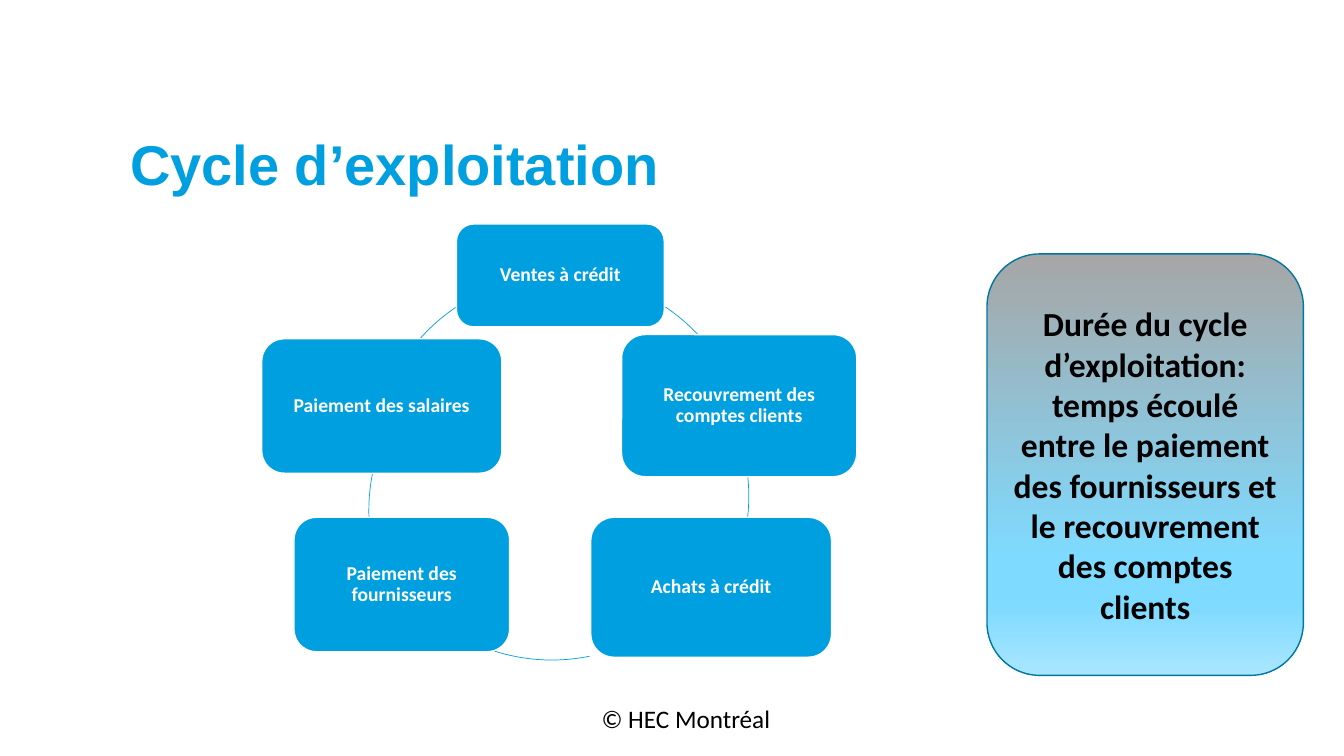
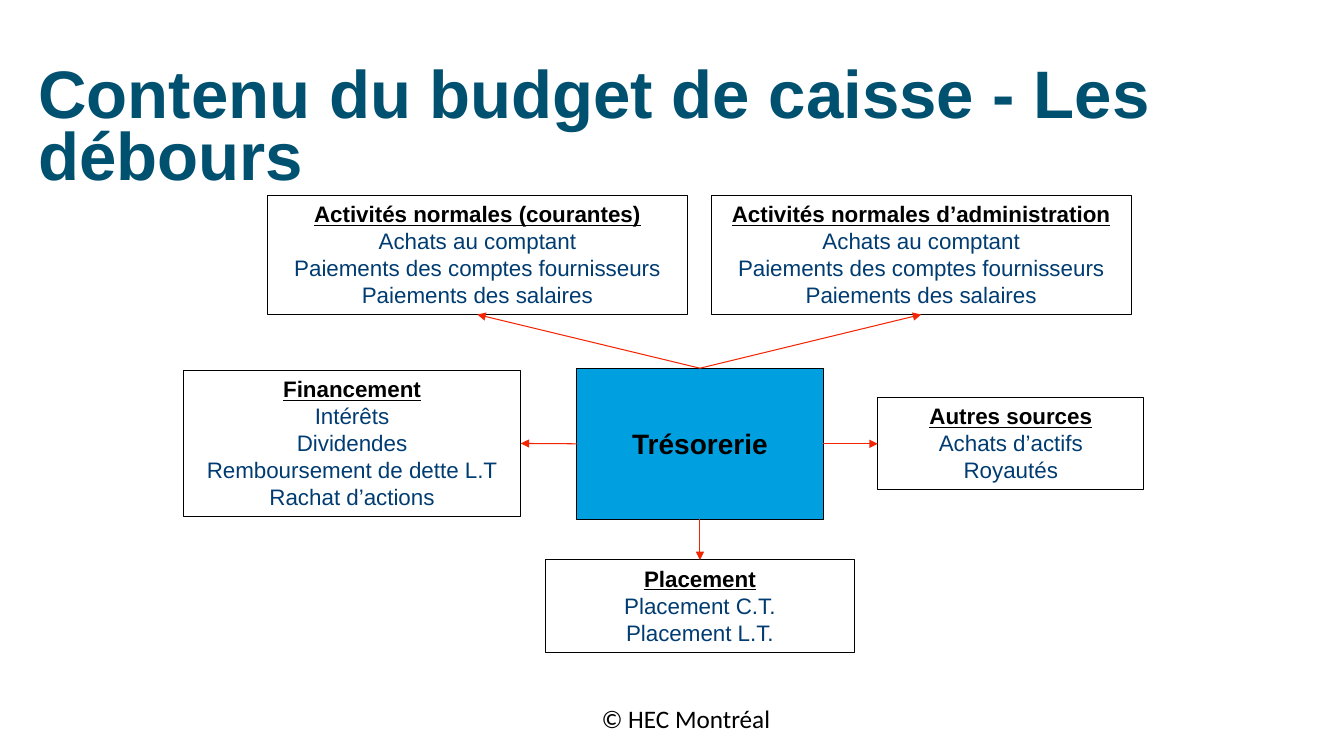
"""Build two slides on the operating cycle and the cash budget."""
import pptx
import pptx.dml.color
import pptx.enum.shapes
import pptx.enum.text
import pptx.oxml
import pptx.oxml.ns
import pptx.util
import lxml.etree

Pt = pptx.util.Pt
SHAPE = pptx.enum.shapes.MSO_SHAPE
ALIGN = pptx.enum.text.PP_ALIGN
ANCHOR = pptx.enum.text.MSO_ANCHOR
rgb = pptx.dml.color.RGBColor.from_string
qn = pptx.oxml.ns.qn

BLUE, WHITE, BLACK = "009FDF", "FFFFFF", "000000"
NAVY, RED = "003C71", "F32503"


def add_box(s, kind, x, y, w, h, fill=None, line=BLACK, weight=0.75):
    """Add a preset shape with a plain fill or none."""
    sp = s.shapes.add_shape(kind, Pt(x), Pt(y), Pt(w), Pt(h))
    sp.shadow.inherit = False
    if fill:
        sp.fill.solid()
        sp.fill.fore_color.rgb = rgb(fill)
    else:
        sp.fill.background()
    sp.line.color.rgb = rgb(line)
    sp.line.width = Pt(weight)
    return sp


def write(sp, lines, font, size, color, bold=True, align=ALIGN.CENTER,
          anchor=ANCHOR.MIDDLE, inset=None, spacing=None):
    """Write one paragraph per line and return the paragraphs."""
    tf = sp.text_frame
    tf.word_wrap = True
    tf.vertical_anchor = anchor
    if inset is not None:
        tf.margin_left = tf.margin_right = Pt(inset)
        tf.margin_top = tf.margin_bottom = Pt(inset)
    tf.text = "\n".join(lines)
    for p in tf.paragraphs:
        p.alignment = align
        if spacing:
            p.line_spacing = spacing
        p.font.name = font
        p.font.size = Pt(size)
        p.font.bold = bold
        p.font.color.rgb = rgb(color)
    return tf.paragraphs


prs = pptx.Presentation()
prs.slide_width, prs.slide_height = Pt(960), Pt(540)

titles = [
    ("Cycle d’exploitation", 93, 96, 40, BLUE),
    ("Contenu du budget de caisse - Les débours", 27.4, 72, 48, "005070"),
]
for title, x, y, size, color in titles:
    s = prs.slides.add_slide(prs.slide_layouts[6])
    sp = s.shapes.add_textbox(Pt(x), Pt(y), Pt(818.6), Pt(44.6))
    write(sp, [title], "Arial", size, color, align=ALIGN.LEFT, inset=0, spacing=Pt(44))
    sp = s.shapes.add_textbox(Pt(422.6), Pt(499), Pt(140), Pt(29))
    write(sp, ["© HEC Montréal"], "Calibri", 18, BLACK, bold=False,
          align=ALIGN.LEFT, anchor=ANCHOR.TOP)

cycle, budget = prs.slides

arcs = [
    (266.4, 196.6, 303.8, 316.7),
    (266.4, 220.3, 354, 6.3),
    (260, 203, 78.4, 107.7),
    (263.5, 230.4, 178, 191.6),
    (266.4, 196.6, 221.7, 236.2),
]
for x, y, start, end in arcs:
    sp = add_box(cycle, SHAPE.ARC, x, y, 268.5, 268.5, line=BLUE, weight=0.5)
    sp.adjustments[0] = start * 0.6
    sp.adjustments[1] = end * 0.6

steps = [
    ("Ventes à crédit", 326, 160, 148.5, 73.5),
    ("Recouvrement des comptes clients", 444, 239, 168, 101.5),
    ("Achats à crédit", 422, 369.5, 172, 100),
    ("Paiement des fournisseurs", 210, 369.5, 154, 96),
    ("Paiement des salaires", 187, 242, 171.5, 96),
]
for text, x, y, w, h in steps:
    sp = add_box(cycle, SHAPE.ROUNDED_RECTANGLE, x, y, w, h, BLUE, WHITE, 1)
    write(sp, [text], "Calibri", 14, WHITE, inset=4.4, spacing=0.9)

callout = add_box(cycle, SHAPE.ROUNDED_RECTANGLE, 705, 181.4, 226, 301, line="0076A5", weight=1)
callout.fill.gradient()
callout.fill.gradient_angle = 270
stops = callout._element.spPr.find(qn("a:gradFill")).find(qn("a:gsLst"))
for gs in list(stops):
    stops.remove(gs)
for pos, color in [(0, "A6A6A6"), (72, "7EDAFF"), (83, "7EDAFF"), (100, "A9E6FF")]:
    gs = lxml.etree.SubElement(stops, qn("a:gs"), pos=str(pos * 1000))
    lxml.etree.SubElement(gs, qn("a:srgbClr"), val=color)
write(callout, ["Durée du cycle d’exploitation: temps écoulé entre le paiement "
                "des fournisseurs et le recouvrement des comptes clients"],
      "Calibri", 24, BLACK)

hub = add_box(budget, SHAPE.RECTANGLE, 412, 263, 176, 108, BLUE)
write(hub, ["Trésorerie"], "Arial", 20, BLACK)

TOP, LEFT, BOTTOM, RIGHT = range(4)
activities = ["Achats au comptant", "Paiements des comptes fournisseurs", "Paiements des salaires"]
branches = [
    ("Activités normales (courantes)", activities, 191, 139.7, 300, 85, TOP, BOTTOM),
    ("Activités normales d’administration", activities, 508, 139.7, 300, 85, TOP, BOTTOM),
    ("Financement", ["Intérêts", "Dividendes", "Remboursement de dette L.T", "Rachat d’actions"],
     131, 264.5, 241, 104.5, LEFT, RIGHT),
    ("Autres sources", ["Achats d’actifs", "Royautés"], 627, 284, 190, 66, RIGHT, LEFT),
    ("Placement", ["Placement C.T.", "Placement L.T."], 389.5, 400, 221, 66, BOTTOM, TOP),
]
for heading, items, x, y, w, h, hub_side, box_side in branches:
    sp = add_box(budget, SHAPE.RECTANGLE, x, y, w, h)
    p = write(sp, [heading] + items, "Arial", 16, NAVY, bold=False, anchor=ANCHOR.TOP)[0]
    p.font.bold = p.font.underline = True
    p.font.color.rgb = rgb(BLACK)
    arrow = budget.shapes.add_connector(pptx.enum.shapes.MSO_CONNECTOR.STRAIGHT, 0, 0, 0, 0)
    arrow.begin_connect(hub, hub_side)
    arrow.end_connect(sp, box_side)
    arrow.line.color.rgb = rgb(RED)
    arrow.line.width = Pt(0.75)
    lxml.etree.SubElement(arrow.line._get_or_add_ln(), qn("a:tailEnd"), type="triangle")
    lxml.etree.SubElement(arrow._element.spPr, qn("a:effectLst"))

prs.save("out.pptx")
